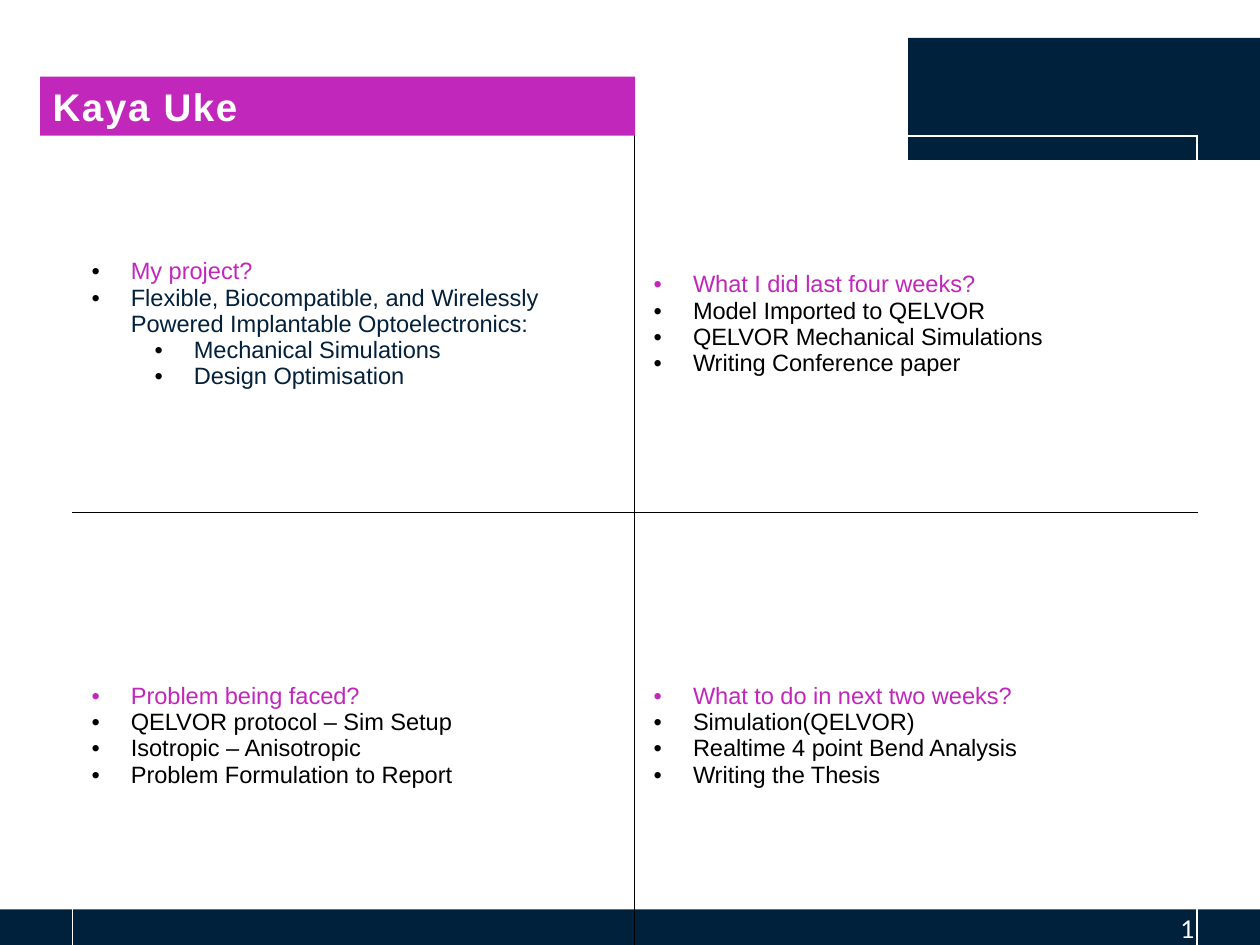
"""Build a four-quadrant progress update slide."""
from dataclasses import dataclass

from lxml.etree import SubElement
from pptx import Presentation
from pptx.dml.color import RGBColor as RGB
from pptx.enum.shapes import MSO_SHAPE as Shape
from pptx.enum.text import MSO_ANCHOR as Anchor, PP_ALIGN as Align
from pptx.oxml.ns import qn
from pptx.util import Pt


@dataclass(frozen=True)
class Theme:
    navy: str = "00213B"
    project: str = "03213B"
    magenta: str = "C127BB"
    white: str = "FFFFFF"
    black: str = "000000"
    font: str = "Arial"
    number_font: str = "Lato"
    title_size: float = 22
    body_size: float = 13.5
    number_size: float = 14
    leading: float = 15
    cell_inset: float = 10.8
    hanging: float = 22.5
    level_step: float = 36


@dataclass
class Quadrant:
    heading: str
    items: list
    color: str
    bullet_color: str = ""


class SlideBuilder:
    def __init__(self, theme, slide):
        self.theme = theme
        self.slide = slide

    def style(self, para, size, color, font=None, bold=False):
        para.font.name = font or self.theme.font
        para.font.size = Pt(size)
        para.font.bold = bold
        para.font.color.rgb = RGB.from_string(color)

    def band(self, left, top, width, height, color):
        box = self.slide.shapes.add_shape(
            Shape.RECTANGLE, Pt(left), Pt(top), Pt(width), Pt(height))
        box.shadow.inherit = False
        box.fill.solid()
        box.fill.fore_color.rgb = RGB.from_string(color)
        box.line.fill.background()
        return box

    def title(self, text, *place):
        frame = self.band(*place, self.theme.magenta).text_frame
        frame.vertical_anchor = Anchor.MIDDLE
        para = frame.paragraphs[0]
        para.alignment = Align.LEFT
        span = para.add_run()
        span.text = text
        span._r.get_or_add_rPr().set("spc", "100")
        self.style(para, self.theme.title_size, self.theme.white, bold=True)

    def page_number(self, text, left, top, width, height):
        box = self.slide.shapes.add_textbox(
            Pt(left), Pt(top), Pt(width), Pt(height))
        frame = box.text_frame
        frame.word_wrap = True
        frame.vertical_anchor = Anchor.MIDDLE
        para = frame.paragraphs[0]
        para.text = text
        para.alignment = Align.RIGHT
        self.style(para, self.theme.number_size, self.theme.white,
                   self.theme.number_font)

    def bullet(self, para, text, level, color, bullet_color):
        theme = self.theme
        para.text = text
        para.level = level
        para.line_spacing = Pt(theme.leading)
        props = para._p.get_or_add_pPr()
        props.set("marL", str(Pt(theme.hanging + level * theme.level_step)))
        props.set("indent", str(-Pt(theme.hanging)))
        if bullet_color:
            holder = SubElement(props, qn("a:buClr"))
            SubElement(holder, qn("a:srgbClr"), val=bullet_color)
        SubElement(props, qn("a:buFont"), typeface=theme.font)
        SubElement(props, qn("a:buChar"), char="•")
        self.style(para, theme.body_size, color)

    def borders(self, cell, colors):
        props = cell._tc.get_or_add_tcPr()
        for side, color in zip("LRTB", colors):
            line = SubElement(props, qn(f"a:ln{side}"), w=str(Pt(1)))
            fill = SubElement(line, qn("a:solidFill"))
            SubElement(fill, qn("a:srgbClr"), val=color)

    def quadrant(self, cell, content):
        inset = Pt(self.theme.cell_inset)
        cell.margin_left = cell.margin_right = inset
        cell.margin_top = cell.margin_bottom = inset
        cell.vertical_anchor = Anchor.MIDDLE
        lines = [(content.heading, 0, self.theme.magenta)]
        lines += [(text, level, content.color) for text, level in content.items]
        frame = cell.text_frame
        for index, (text, level, color) in enumerate(lines):
            para = frame.add_paragraph() if index else frame.paragraphs[0]
            self.bullet(para, text, level, color, content.bullet_color)

    def grid(self, left, top, column_width, row_heights, rows):
        white, black = self.theme.white, self.theme.black
        table = self.slide.shapes.add_table(
            2, 2, Pt(left), Pt(top), Pt(2 * column_width),
            Pt(sum(row_heights))).table
        table.first_row = table.horz_banding = False
        for column in table.columns:
            column.width = Pt(column_width)
        for r, (height, contents) in enumerate(zip(row_heights, rows)):
            table.rows[r].height = Pt(height)
            for c, content in enumerate(contents):
                cell = table.cell(r, c)
                self.quadrant(cell, content)
                self.borders(cell, (black if c else white,
                                    white if c else black,
                                    black if r else white, black))
                cell.fill.background()


def main():
    theme = Theme()
    deck = Presentation()
    deck.slide_width, deck.slide_height = Pt(720), Pt(540)
    page = SlideBuilder(theme, deck.slides.add_slide(deck.slide_layouts[6]))

    page.band(519, 21.6, 201, 69.8, theme.navy)
    page.band(0, 519.6, 723, 22.3, theme.navy)
    page.page_number("1", 540, 519.8, 149.8, 22.3)

    project = Quadrant("My project?", [
        ("Flexible, Biocompatible, and Wirelessly Powered Implantable "
         "Optoelectronics:", 0),
        ("Mechanical Simulations", 1),
        ("Design Optimisation", 1)], theme.project, theme.black)
    done = Quadrant("What I did last four weeks?", [
        ("Model Imported to QELVOR", 0),
        ("QELVOR Mechanical Simulations", 0),
        ("Writing Conference paper", 0)], theme.black)
    problems = Quadrant("Problem being faced?", [
        ("QELVOR protocol – Sim Setup", 0),
        ("Isotropic – Anisotropic", 0),
        ("Problem Formulation to Report", 0)], theme.black)
    planned = Quadrant("What to do in next two weeks?", [
        ("Simulation(QELVOR)", 0),
        ("Realtime 4 point Bend Analysis", 0),
        ("Writing the Thesis", 0)], theme.black)
    page.grid(41.5, 77.6, 321.2, (215.3, 254.9),
              [(project, done), (problems, planned)])

    page.title("Kaya Uke", 23, 43.8, 340, 33.8)
    deck.save("out.pptx")


if __name__ == "__main__":
    main()
